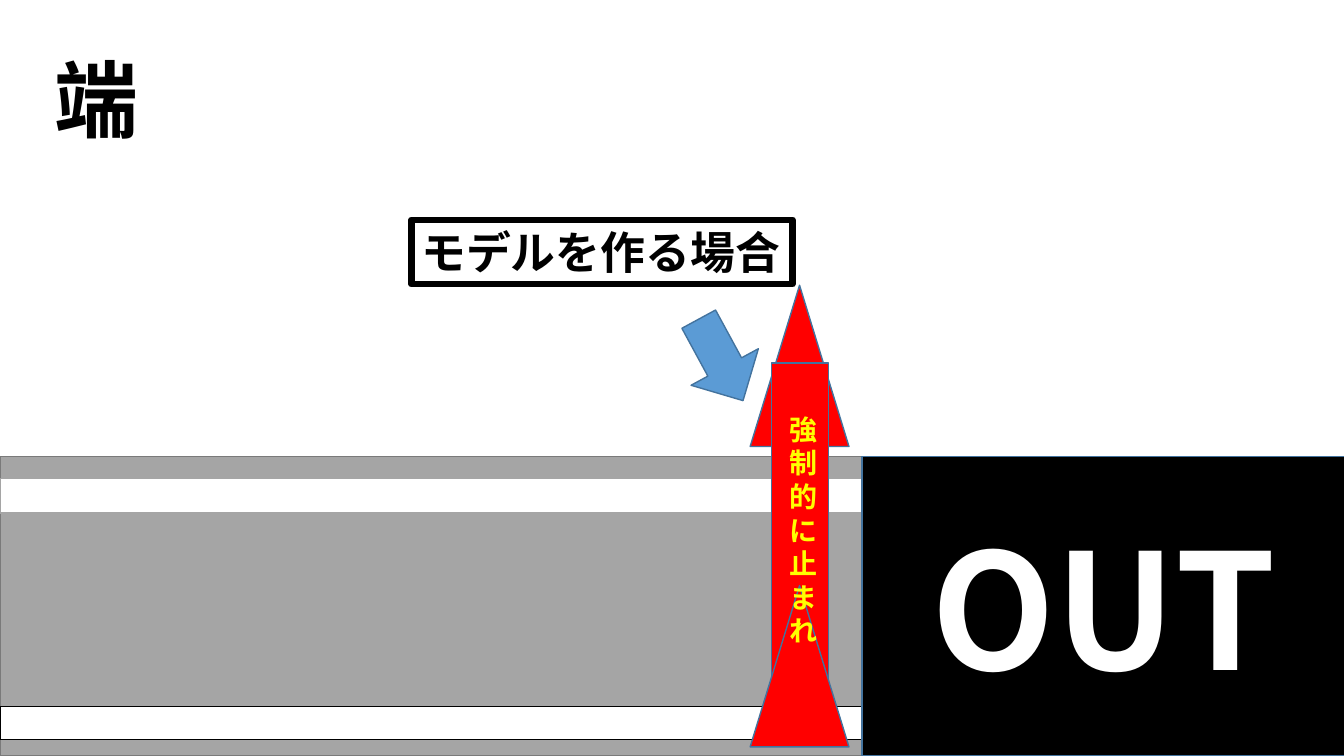
from pptx import Presentation
from pptx.dml.color import RGBColor
from pptx.enum.shapes import MSO_SHAPE as Shape
from pptx.enum.text import MSO_ANCHOR as Anchor, MSO_AUTO_SIZE as AutoSize, PP_ALIGN as Align
from pptx.oxml.ns import qn
from pptx.util import Pt
from lxml.etree import SubElement

PX = 9144
FONT = "Noto Sans CJK JP"
BLACK = RGBColor(0x00, 0x00, 0x00)
WHITE = RGBColor(0xFF, 0xFF, 0xFF)
ROAD_GREY = RGBColor(0xA5, 0xA5, 0xA5)
EDGE_GREY = RGBColor(0x7A, 0x7A, 0x7A)
BLUE = RGBColor(0x5B, 0x9B, 0xD5)
EDGE_BLUE = RGBColor(0x43, 0x73, 0x9E)
RED = RGBColor(0xFF, 0x00, 0x00)
YELLOW = RGBColor(0xFF, 0xFF, 0x00)


def emu(*lengths):
    return [length * PX for length in lengths]


def add_block(page, kind, box, fill, edge, weight=1):
    block = page.shapes.add_shape(kind, *emu(*box))
    block.shadow.inherit = False
    if fill is None:
        block.fill.background()
    else:
        block.fill.solid()
        block.fill.fore_color.rgb = fill
    block.line.color.rgb = edge
    block.line.width = Pt(weight)
    return block


def write(shape, text, size, color, align=Align.LEFT, anchor=Anchor.TOP, wrap=True):
    frame = shape.text_frame
    frame_format = {"word_wrap": wrap, "vertical_anchor": anchor, "auto_size": AutoSize.NONE}
    for name, value in frame_format.items():
        setattr(frame, name, value)
    para = frame.paragraphs[0]
    para.alignment = align
    span = para.add_run()
    span.text = text
    for name, value in {"name": FONT, "size": Pt(size), "bold": True}.items():
        setattr(span.font, name, value)
    span.font.color.rgb = color
    SubElement(span.font._element, qn("a:ea"), typeface=FONT)
    return para


def add_title(page, box):
    title = page.shapes.title
    for name, value in zip(("left", "top", "width", "height"), emu(*box)):
        setattr(title, name, value)
    para = write(title, "端", 60, BLACK, anchor=Anchor.MIDDLE, wrap=False)
    para.line_spacing = 1.0


def add_road(page, box):
    left, top, width, height = box
    add_block(page, Shape.RECTANGLE, box, ROAD_GREY, EDGE_GREY)
    for offset, stripe, edge in ((22, 34, ROAD_GREY), (248, 33, BLACK)):
        add_block(page, Shape.RECTANGLE, (left, top + offset, width, stripe), WHITE, edge)


def add_out_zone(page, box):
    zone = add_block(page, Shape.RECTANGLE, box, BLACK, EDGE_BLUE)
    write(zone, "OUT", 115, WHITE, Align.CENTER, Anchor.MIDDLE)


def add_stop_sign(page, box):
    """Red shaft between two triangles, with the warning running down it."""
    left, top, width, height = box
    head = 160
    parts = (
        (Shape.ISOSCELES_TRIANGLE, (left, top, width, head)),
        (Shape.RECTANGLE, (left + 21, top + 77, 57, 325)),
        (Shape.ISOSCELES_TRIANGLE, (left, top + height - head, width, head)),
    )
    for kind, part in parts:
        add_block(page, kind, part, RED, EDGE_BLUE)
    warning = page.shapes.add_textbox(*emu(left + 27, top + 121, 52, 246))
    para = write(warning, "強制的に止まれ", 20, YELLOW, Align.CENTER)
    para.line_spacing = Pt(24)


def add_callout(page, box):
    """Framed caption with a tilted arrow leading to the stop sign."""
    left, top, width, height = box
    arrow = add_block(page, Shape.DOWN_ARROW, (left + 269, top + 93, 76, 92), BLUE, EDGE_BLUE)
    arrow.rotation = 331.5
    caption = add_block(page, Shape.RECTANGLE, box, None, BLACK, 4.5)
    write(caption, "モデルを作る場合", 32, BLACK, anchor=Anchor.MIDDLE, wrap=False)


def main():
    deck = Presentation()
    deck.slide_width, deck.slide_height = emu(1333, 750)
    page = deck.slides.add_slide(deck.slide_layouts[5])
    add_road(page, (0, 453, 855, 297))
    add_out_zone(page, (855, 453, 479, 297))
    add_title(page, (44, 42, 115, 111))
    add_stop_sign(page, (744, 283, 98, 458))
    add_callout(page, (408, 218, 378, 64))
    deck.save("out.pptx")


if __name__ == "__main__":
    main()
